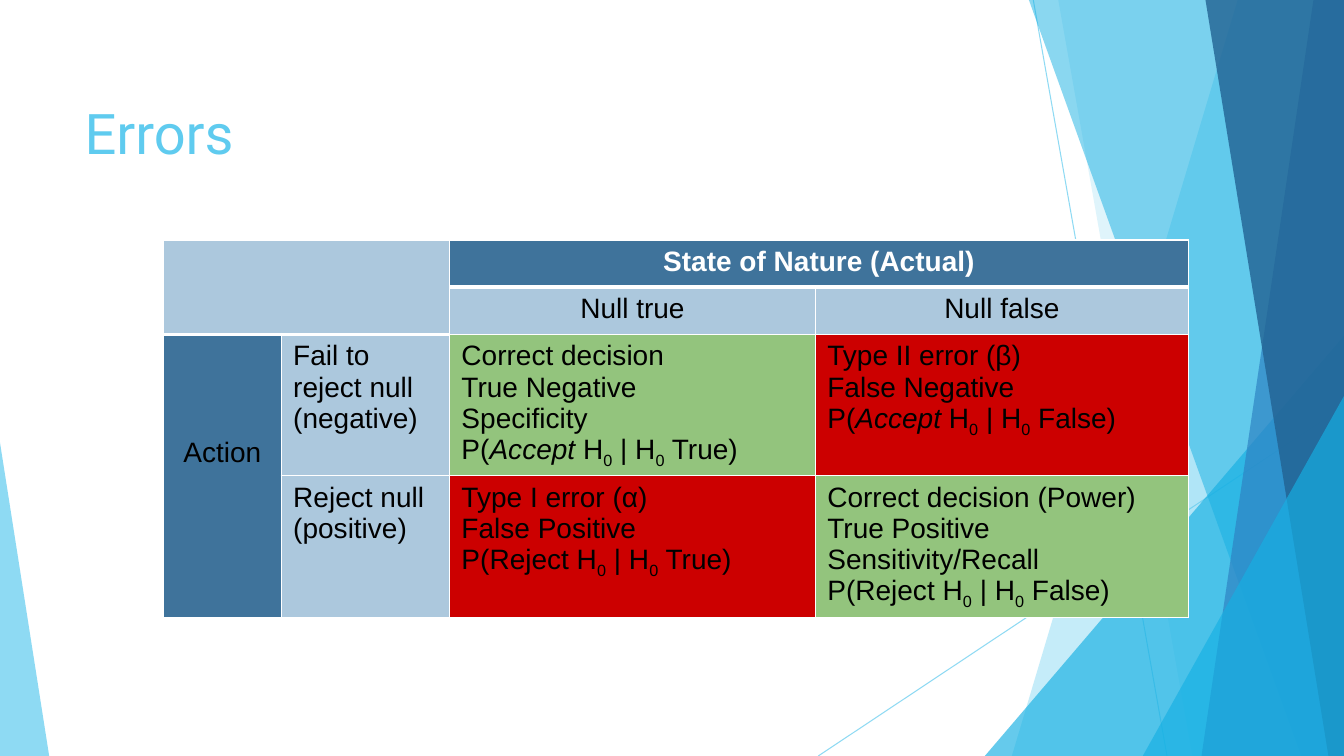
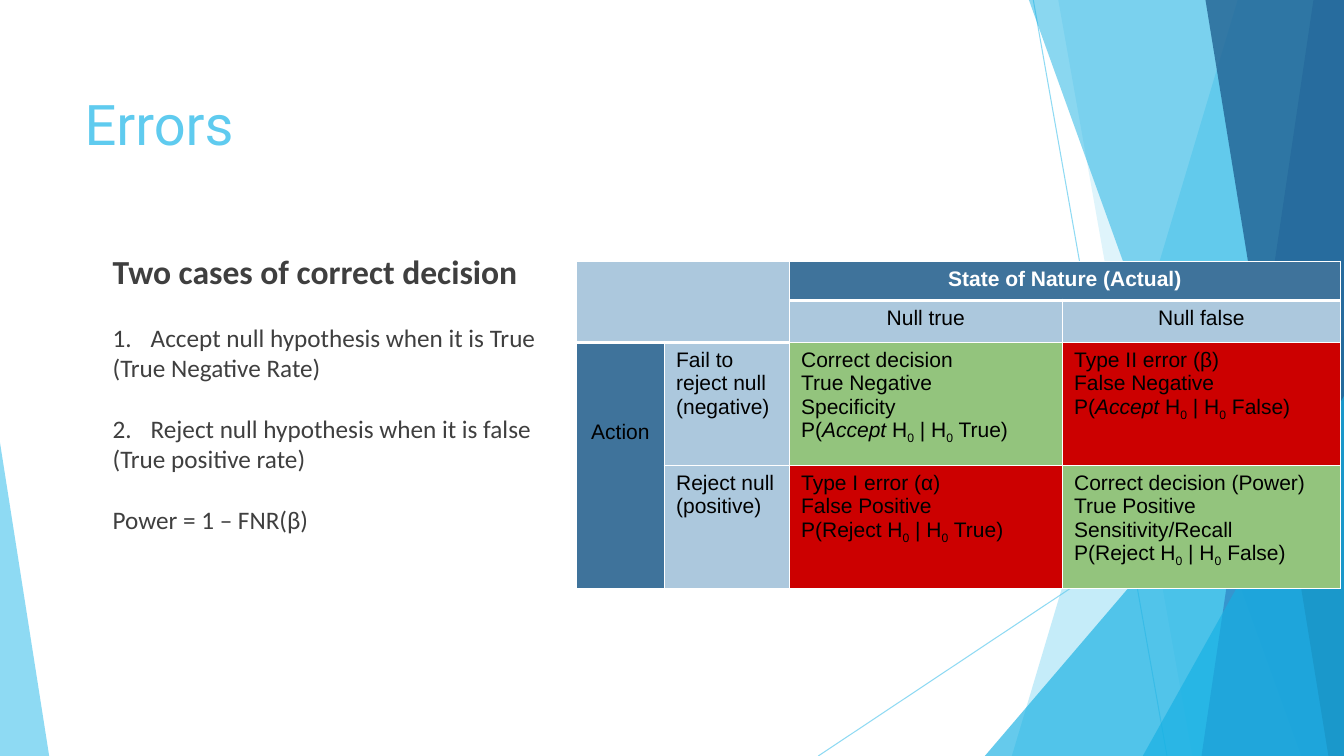
from lxml import etree
from pptx import Presentation, util as u
from pptx.dml.color import RGBColor
from pptx.enum import shapes, text
from pptx.oxml.ns import qn

WIDTH, HEIGHT = 33.87, 19.05
SKY, CYAN, BLUE, NAVY = "5FCBEF", "16B0E3", "2E83C3", "226292"
STEEL, PALE, GREEN, RED = "3F739B", "ACC8DD", "93C47D", "CC0000"
WHITE, BLACK, CHARCOAL = "FFFFFF", "000000", "3F3F3F"

RAYS = [((26.04, 0), (29.41, HEIGHT)), ((WIDTH, 10.24), (20.62, HEIGHT))]
ERROR_CELLS = [
    (0, 0, 2, 2, PALE, []),
    (0, 2, 1, 2, STEEL, ["State of Nature (Actual)"]),
    (1, 2, 1, 1, PALE, ["Null true"]),
    (1, 3, 1, 1, PALE, ["Null false"]),
    (2, 0, 2, 1, STEEL, ["Action"]),
    (2, 1, 1, 1, PALE, ["Fail to reject null (negative)"]),
    (2, 2, 1, 1, GREEN, ["Correct decision", "True Negative", "Specificity",
                         "P(*Accept* H_0_ | H_0_ True)"]),
    (2, 3, 1, 1, RED, ["Type II error (β)", "False Negative",
                       "P(*Accept* H_0_ | H_0_ False)"]),
    (3, 1, 1, 1, PALE, ["Reject null (positive)"]),
    (3, 2, 1, 1, RED, ["Type I error (α)", "False Positive",
                       "P(Reject H_0_ | H_0_ True)"]),
    (3, 3, 1, 1, GREEN, ["Correct decision (Power)", "True Positive",
                         "Sensitivity/Recall", "P(Reject H_0_ | H_0_ False)"]),
]
CORRECT_CASES = [
    ("Accept null hypothesis when it is True", 1, True),
    ("(True Negative Rate)", None, False),
    ("Reject null hypothesis when it is false", 2, True),
    ("(True positive rate)", None, False),
    ("Power = 1 – FNR(β)", None, True),
]


def rgb(code):
    return RGBColor.from_string(code)


def set_font(font, name, size, color, bold=False):
    font.name, font.size, font.bold = name, u.Pt(size), bold
    font.color.rgb = rgb(color)


def set_opacity(part, percent):
    color = next(part.iter(qn("a:srgbClr")))
    etree.SubElement(color, qn("a:alpha"), val=str(percent * 1000))


def paint(facet, color, opacity):
    facet.shadow.inherit = False
    facet.fill.solid()
    facet.fill.fore_color.rgb = rgb(color)
    facet.line.fill.background()
    set_opacity(facet._element.spPr, opacity)


def add_ray(slide, start, end):
    ray = slide.shapes.add_connector(
        shapes.MSO_CONNECTOR.STRAIGHT, *(u.Cm(v) for v in start + end))
    ray.line.color.rgb = rgb(SKY)
    ray.line.width = u.Pt(0.75)
    set_opacity(ray._element.spPr, 70)
    etree.SubElement(ray._element.spPr, qn("a:effectLst"))


def add_band(slide, top_x, bottom_x, color, opacity):
    outline = slide.shapes.build_freeform(u.Cm(top_x), 0)
    outline.add_line_segments(
        [(u.Cm(x), u.Cm(y)) for x, y in
         [(WIDTH, 0), (WIDTH, HEIGHT), (bottom_x, HEIGHT)]])
    paint(outline.convert_to_shape(), color, opacity)


def add_wedge(slide, left, top, width, apex, color, opacity):
    wedge = slide.shapes.add_shape(
        shapes.MSO_SHAPE.ISOSCELES_TRIANGLE,
        u.Cm(left), u.Cm(top), u.Cm(width), u.Cm(HEIGHT - top))
    wedge.adjustments[0] = apex
    paint(wedge, color, opacity)


def add_backdrop(slide):
    for start, end in RAYS:
        add_ray(slide, start, end)
    add_band(slide, 31.19, 25.5, SKY, 36)
    add_band(slide, 26.67, 30.05, SKY, 20)
    add_wedge(slide, 24.82, 8.46, WIDTH - 24.82, 1, CYAN, 66)
    add_band(slide, 25.93, 32.79, CYAN, 50)
    add_band(slide, 33.1, 30.28, BLUE, 70)
    add_band(slide, 30.38, 33.48, NAVY, 80)
    add_wedge(slide, 28.8, 9.98, WIDTH - 28.8, 1, CYAN, 66)
    add_wedge(slide, 0, 11.15, 1.24, 0, SKY, 70)


def add_slide(prs, heading, top):
    slide = prs.slides.add_slide(prs.slide_layouts[5])
    add_backdrop(slide)
    title = slide.shapes.title
    title.left, title.top = u.Cm(1.88), u.Cm(top)
    title.width, title.height = u.Cm(23.88), u.Cm(3.66)
    frame = title.text_frame
    frame.text = heading
    frame.auto_size = text.MSO_AUTO_SIZE.NONE
    frame.vertical_anchor = text.MSO_ANCHOR.BOTTOM
    line = frame.paragraphs[0]
    line.alignment, line.line_spacing = text.PP_ALIGN.LEFT, 0.85
    set_font(line.font, "Roboto", 40, SKY)
    return slide


def add_marked_runs(line, marked):
    for i, stretch in enumerate(marked.split("_")):
        for j, words in enumerate(stretch.split("*")):
            run = line.add_run()
            run.text = words
            if i % 2:
                run._r.get_or_add_rPr().set("baseline", "-25000")
            if j % 2:
                run.font.italic = True


def set_borders(cell, row, col):
    heavy_row = 2 if col < 2 else 1
    points = {"L": 1, "R": 1,
              "T": 3 if row == heavy_row else 1,
              "B": 3 if row + 1 == heavy_row else 1}
    for side, width in points.items():
        border = etree.SubElement(cell._tc.get_or_add_tcPr(),
                                  qn("a:ln" + side), w=str(u.Pt(width)))
        fill = etree.SubElement(border, qn("a:solidFill"))
        etree.SubElement(fill, qn("a:srgbClr"), val=WHITE)


def fill_cell(cell, color, lines, size, header, centered):
    cell.fill.solid()
    cell.fill.fore_color.rgb = rgb(color)
    cell.margin_left = cell.margin_right = u.Cm(0.3)
    cell.margin_top = cell.margin_bottom = u.Cm(0.15)
    for i, marked in enumerate(lines):
        frame = cell.text_frame
        line = frame.add_paragraph() if i else frame.paragraphs[0]
        add_marked_runs(line, marked)
        if centered:
            line.alignment = text.PP_ALIGN.CENTER
        set_font(line.font, "Arial", size, WHITE if header else BLACK, header)


def add_error_table(slide, left, top, widths, heights, size):
    table = slide.shapes.add_table(
        len(heights), len(widths), u.Cm(left), u.Cm(top),
        u.Cm(sum(widths)), u.Cm(sum(heights))).table
    table.first_row = table.horz_banding = False
    for column, width in zip(table.columns, widths):
        column.width = u.Cm(width)
    for row, height in zip(table.rows, heights):
        row.height = u.Cm(height)
    for r in range(len(heights)):
        for c in range(len(widths)):
            set_borders(table.cell(r, c), r, c)
    for r, c, row_span, col_span, color, lines in ERROR_CELLS:
        cell = table.cell(r, c)
        if row_span * col_span > 1:
            cell.merge(table.cell(r + row_span - 1, c + col_span - 1))
        fill_cell(cell, color, lines, size, header=r == 0,
                  centered=r < 2 or c == 0)
    action = table.cell(2, 0)
    action.margin_top = u.Cm(0.15) + u.Pt(3 * 1.15 * size)


def number_paragraph(line, number):
    props = line._p.get_or_add_pPr()
    hanging = u.Cm(0.96)
    props.set("marL", str(hanging))
    props.set("indent", str(-hanging))
    etree.SubElement(props, qn("a:buFont"), typeface="Calibri")
    etree.SubElement(props, qn("a:buAutoNum"), type="arabicPeriod",
                     startAt=str(number))


def add_correct_cases(slide):
    frame = slide.shapes.add_textbox(
        u.Cm(2.59), u.Cm(6.2), u.Cm(11.28), u.Cm(8.99)).text_frame
    frame.word_wrap = True
    frame.auto_size = text.MSO_AUTO_SIZE.SHAPE_TO_FIT_TEXT
    heading = frame.paragraphs[0]
    heading.text = "Two cases of correct decision"
    set_font(heading.font, "Calibri", 24, CHARCOAL, True)
    for words, number, starts_group in CORRECT_CASES:
        line = frame.add_paragraph()
        line.text = words
        if starts_group:
            line.space_before = u.Pt(22)
        if number:
            number_paragraph(line, number)
        set_font(line.font, "Calibri", 18, CHARCOAL)


def main():
    prs = Presentation()
    prs.slide_width, prs.slide_height = u.Cm(WIDTH), u.Cm(HEIGHT)

    overview = add_slide(prs, "Errors", 0.64)
    add_error_table(overview, 4.12, 6.05, [2.97, 4.24, 9.22, 9.4],
                    [1.19, 1.19, 3.55, 3.55], 20)

    correct = add_slide(prs, "Errors", 0.43)
    add_correct_cases(correct)
    add_error_table(correct, 14.53, 6.58, [2.21, 3.15, 6.88, 7.01],
                    [0.99, 0.99, 3.1, 3.1], 15)

    prs.save("out.pptx")


if __name__ == "__main__":
    main()
